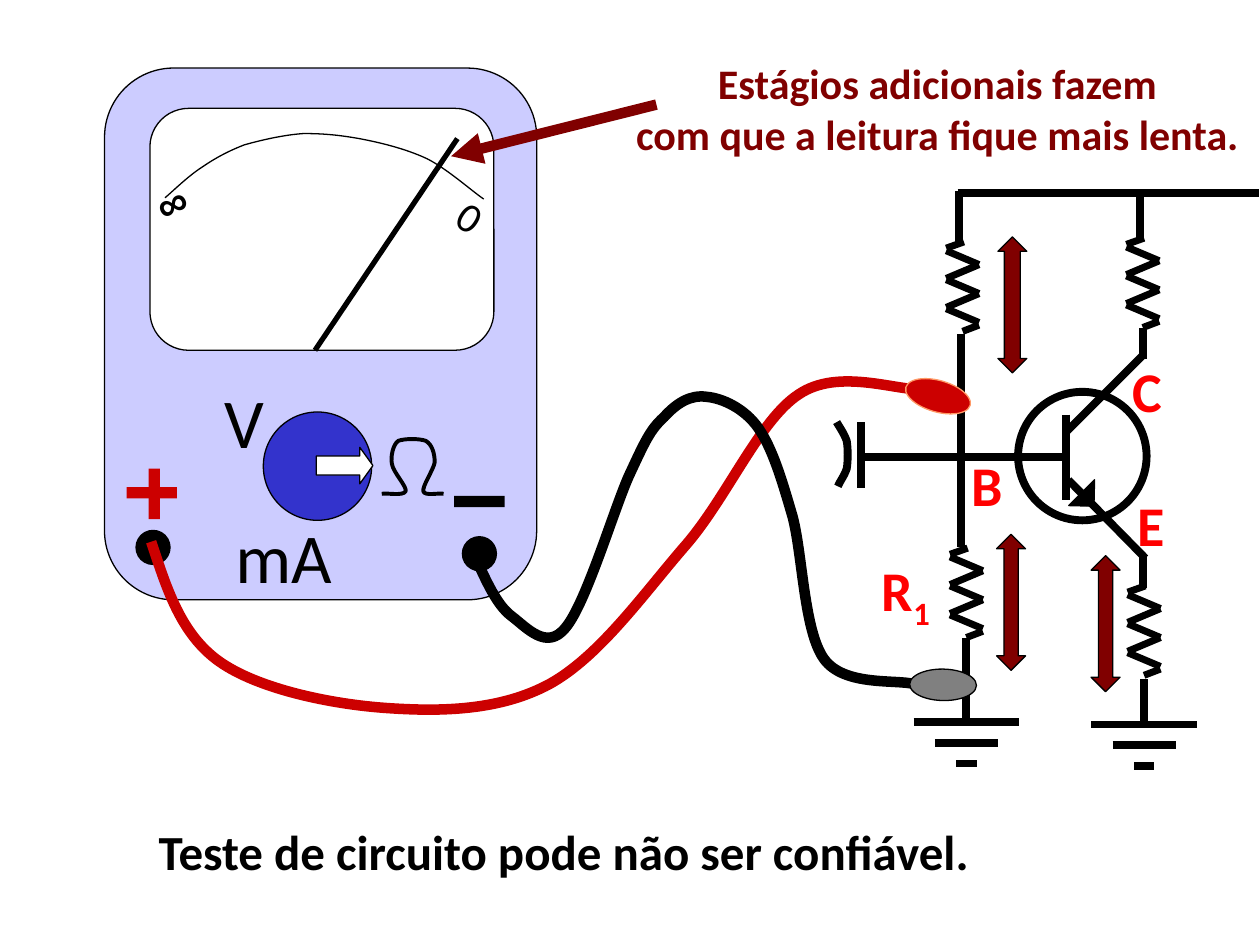
from lxml.etree import SubElement
from pptx import Presentation
from pptx.dml.color import RGBColor
from pptx.enum.shapes import MSO_CONNECTOR, MSO_SHAPE
from pptx.enum.text import MSO_ANCHOR, MSO_AUTO_SIZE, PP_ALIGN
from pptx.oxml.ns import qn
from pptx.util import Cm, Pt

COLORS = {
    "black": "000000", "white": "FFFFFF", "case": "CCCCFF", "dial": "3333CC",
    "lead": "CC0000", "rim": "FF9966", "clip": "808080", "maroon": "800000",
    "label": "FF0000",
}
CM_PER_INCH = 2.54


def length(inches):
    return Cm(inches * CM_PER_INCH)


def rgb(name):
    return RGBColor.from_string(COLORS[name])


class CircuitSlide:
    font_name = "Calibri"
    wire = 4.5
    outline = 0.75

    def __init__(self, slide):
        self.slide = slide

    def finish(self, shape, fill, line, width):
        shape.shadow.inherit = False
        if fill:
            shape.fill.solid()
            shape.fill.fore_color.rgb = rgb(fill)
        else:
            shape.fill.background()
        if line:
            shape.line.color.rgb = rgb(line)
            shape.line.width = Pt(width)
        else:
            shape.line.fill.background()

    def shape(self, kind, box, fill=None, line="black", width=outline, rotation=0, adjustments=()):
        shape = self.slide.shapes.add_shape(kind, *map(length, box))
        for index, value in enumerate(adjustments):
            shape.adjustments[index] = value
        shape.rotation = rotation
        self.finish(shape, fill, line, width)

    def line(self, start, end, width=wire, color="black", arrow=False):
        connector = self.slide.shapes.add_connector(
            MSO_CONNECTOR.STRAIGHT, *map(length, (*start, *end)))
        connector.line.color.rgb = rgb(color)
        connector.line.width = Pt(width)
        if arrow:
            SubElement(connector.line._get_or_add_ln(), qn("a:tailEnd"), type="triangle")
        SubElement(connector._element.spPr, qn("a:effectLst"))

    def curve(self, points, width, color="black"):
        start, *controls = [(length(x), length(y)) for x, y in points]
        builder = self.slide.shapes.build_freeform(*start)
        builder.add_line_segments(controls, close=False)
        shape = builder.convert_to_shape()
        route = shape._element.find(".//" + qn("a:path"))
        segments = route.findall(qn("a:lnTo"))
        for index in range(0, len(segments), 3):
            bezier = SubElement(route, qn("a:cubicBezTo"))
            for segment in segments[index:index + 3]:
                bezier.append(segment[0])
                route.remove(segment)
        self.finish(shape, None, color, width)

    def text(self, box, content, size, color="black", bold=False, align=PP_ALIGN.LEFT,
             anchor=MSO_ANCHOR.TOP, rotation=0, font_name=font_name, subscript=None):
        shape = self.slide.shapes.add_textbox(*map(length, box))
        shape.rotation = rotation
        text_frame = shape.text_frame
        text_frame.text = content
        text_frame.word_wrap = False
        text_frame.auto_size = MSO_AUTO_SIZE.SHAPE_TO_FIT_TEXT
        text_frame.vertical_anchor = anchor
        if subscript:
            run = text_frame.paragraphs[0].add_run()
            run.text = subscript
            run._r.get_or_add_rPr().set("baseline", "-25000")
        for paragraph in text_frame.paragraphs:
            paragraph.alignment = align
            for run in paragraph.runs:
                run.font.name = font_name
                run.font.size = Pt(size)
                run.font.bold = bold
                run.font.color.rgb = rgb(color)

    def resistor(self, left, top):
        pitch = 0.23
        strokes = [((0.01, 0.05), (0.15, 0)), ((0.14, 0.71), (0.27, 0.66))]
        strokes += [((0.27, 0.18 + pitch * k), (0.01, 0.07 + pitch * k)) for k in range(3)]
        strokes += [((0.01, 0.29 + pitch * k), (0.27, 0.18 + pitch * k)) for k in range(2)]
        for stroke in strokes:
            self.line(*[(left + x, top + y) for x, y in stroke], width=4)

    def ground(self, center, top):
        for index, half in enumerate((0.42, 0.25, 0.08)):
            y = top + index * 0.165
            self.line((center - half, y), (center + half, y))


def draw_meter(page):
    centered = {"align": PP_ALIGN.CENTER, "anchor": MSO_ANCHOR.MIDDLE}
    page.shape(MSO_SHAPE.ROUNDED_RECTANGLE, (0.83, 0.54, 3.43, 4.22), "case", adjustments=[0.16])
    page.shape(MSO_SHAPE.ROUNDED_RECTANGLE, (1.19, 0.86, 2.73, 1.92), "white", adjustments=[0.16])
    page.curve([(1.31, 1.57), (1.36, 1.53), (1.49, 1.4), (1.6, 1.33), (1.7, 1.26), (1.81, 1.2),
                (1.94, 1.15), (2.08, 1.11), (2.26, 1.07), (2.41, 1.06), (2.56, 1.06), (2.68, 1.07),
                (2.85, 1.1), (3.01, 1.13), (3.22, 1.18), (3.39, 1.26), (3.55, 1.34), (3.75, 1.52),
                (3.84, 1.58)], page.outline)
    page.text((3.55, 1.47, 0.37, 0.5), "0", 24, rotation=33.3, **centered)
    for left, top in ((3.67, 4.26), (1.08, 4.21)):
        page.shape(MSO_SHAPE.OVAL, (left, top, 0.27, 0.27), "black")
    for left, top, rotation, color in ((1.18, 3.72, 0, "lead"), (1.16, 3.71, 270, "lead"),
                                       (3.76, 3.78, 270, "black")):
        page.shape(MSO_SHAPE.RECTANGLE, (left, top, 0.09, 0.4), color, None, rotation=rotation)
    page.line((2.5, 2.78), (3.63, 1.1), 3)
    page.curve([(1.2, 4.3), (1.32, 4.66), (1.43, 5.03), (1.74, 5.25), (2.05, 5.47), (2.63, 5.59),
                (3.07, 5.62), (3.51, 5.65), (3.97, 5.64), (4.36, 5.43), (4.76, 5.21), (5.11, 4.71),
                (5.44, 4.33), (5.77, 3.95), (6.03, 3.33), (6.34, 3.13), (6.65, 2.92), (7.11, 3.1),
                (7.31, 3.09)], 6, "lead")
    page.curve([(3.77, 4.42), (3.86, 4.61), (3.94, 4.8), (4.06, 4.89), (4.18, 4.98), (4.34, 5.17),
                (4.49, 4.98), (4.65, 4.79), (4.87, 4.05), (4.99, 3.78), (5.12, 3.5), (5.16, 3.41),
                (5.27, 3.31), (5.37, 3.2), (5.48, 3.13), (5.61, 3.15), (5.73, 3.16), (5.91, 3.24),
                (6.02, 3.4), (6.13, 3.56), (6.2, 3.79), (6.29, 4.1), (6.37, 4.4), (6.38, 5.01),
                (6.54, 5.23), (6.7, 5.45), (7.11, 5.39), (7.26, 5.43)], 6)
    page.shape(MSO_SHAPE.OVAL, (2.09, 3.27, 0.86, 0.86), "dial")
    page.curve([(3.03, 3.92), (3.06, 3.91), (3.2, 3.94), (3.22, 3.9), (3.23, 3.86), (3.12, 3.75),
                (3.11, 3.68), (3.1, 3.62), (3.12, 3.53), (3.16, 3.5), (3.21, 3.48), (3.33, 3.48),
                (3.38, 3.5), (3.43, 3.53), (3.45, 3.6), (3.45, 3.67), (3.44, 3.73), (3.35, 3.86),
                (3.36, 3.9), (3.37, 3.94), (3.49, 3.91), (3.52, 3.92)], 2.25)
    page.text((1.68, 2.95, 0.51, 0.77), "V", 40, **centered)
    page.text((1.75, 4.02, 1, 0.77), "mA", 40, **centered)
    page.shape(MSO_SHAPE.RIGHT_ARROW, (2.51, 3.55, 0.45, 0.29), "white", adjustments=[0.52, 0.36])
    page.text((1.14, 1.35, 0.45, 0.5), "∞", 24, bold=True, rotation=334.4, font_name="Arial")


def draw_circuit(page):
    page.shape(MSO_SHAPE.OVAL, (8.08, 3.11, 1.02, 1.02), width=page.wire)
    page.shape(MSO_SHAPE.RIGHT_TRIANGLE, (8.48, 3.81, 0.21, 0.2), "black", rotation=271.3)
    wires = [
        ((8.48, 3.81), (9.09, 4.43)), ((8.45, 3.63), (6.85, 3.63)), ((8.46, 3.43), (9.08, 2.81)),
        ((8.46, 3.29), (8.46, 3.97)), ((6.83, 3.35), (6.83, 3.87)), ((7.63, 2.65), (7.63, 4.34)),
        ((9.07, 2.6), (9.07, 2.85)), ((9.07, 4.42), (9.07, 4.67)), ((7.61, 1.52), (7.61, 1.93)),
        ((9.05, 1.88), (9.05, 1.56)), ((7.67, 5.06), (7.67, 5.73)), ((9.08, 5.39), (9.08, 5.73)),
        ((7.6, 1.53), (9.99, 1.53)),
    ]
    for start, end in wires:
        page.line(start, end)
    page.curve([(6.64, 3.35), (6.65, 3.37), (6.7, 3.44), (6.72, 3.5), (6.73, 3.56), (6.73, 3.66),
                (6.72, 3.72), (6.7, 3.78), (6.66, 3.83), (6.65, 3.86)], page.wire)
    for left, top in ((8.93, 1.89), (7.5, 1.92), (8.94, 4.65), (7.53, 4.35)):
        page.resistor(left, top)
    for center, top in ((9.08, 5.75), (7.67, 5.73)):
        page.ground(center, top)
    for name, left, top, width in (("E", 8.93, 3.84, 0.41), ("B", 7.61, 3.53, 0.45),
                                   ("C", 8.89, 2.78, 0.43)):
        page.text((left, top, width, 0.64), name, 32, "label", True)
    page.text((6.9, 4.36, 0.58, 0.71), "R", 32, "label", True, subscript="1")
    page.shape(MSO_SHAPE.OVAL, (7.18, 3.02, 0.53, 0.25), "lead", "rim", rotation=15.8)
    page.shape(MSO_SHAPE.OVAL, (7.22, 5.31, 0.53, 0.25), "clip", rotation=1.1)
    for left, top, shaft in ((7.92, 1.88, 0.55), (7.91, 4.24, 0.49), (8.66, 4.41, 0.49)):
        page.shape(MSO_SHAPE.UP_DOWN_ARROW, (left, top, 0.23, 1.08), "maroon",
                   adjustments=[0.92, shaft])


def draw_messages(page):
    page.text((1.16, 6.47, 6.69, 0.57), "Teste de circuito pode não ser confiável.", 28, bold=True)
    page.text((4.94, 0.41, 5, 0.9),
              "Estágios adicionais fazem\ncom que a leitura fique mais lenta.",
              24, "maroon", True, PP_ALIGN.CENTER)
    page.line((5.21, 0.83), (3.58, 1.24), 6, "maroon", arrow=True)


def main():
    presentation = Presentation()
    presentation.slide_width = Cm(25.4)
    presentation.slide_height = Cm(19.05)
    page = CircuitSlide(presentation.slides.add_slide(presentation.slide_layouts[6]))
    draw_meter(page)
    draw_circuit(page)
    draw_messages(page)
    presentation.save("out.pptx")


if __name__ == "__main__":
    main()
